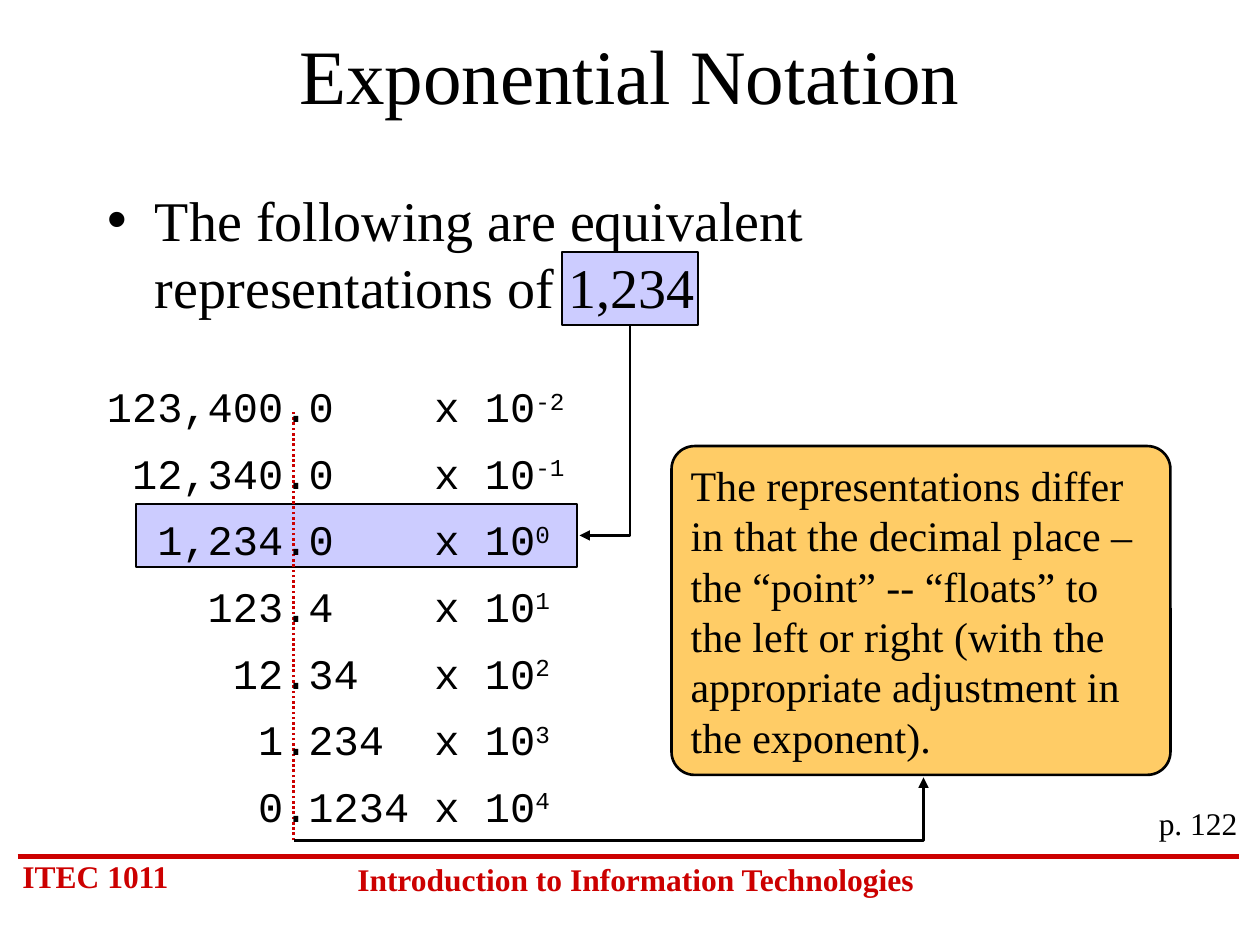
from pptx import Presentation
from pptx import util as u
from pptx.dml.color import RGBColor
from pptx.enum import dml, shapes, text
from pptx.oxml.ns import qn
from lxml import etree

BLACK, RED, LILAC, AMBER = "000000", "CC0000", "CCCCFF", "FFCC66"
SERIF, MONO = "Times New Roman", "Courier New"


def rgb(value):
    return RGBColor.from_string(value)


def add_tabs(paragraph, stops):
    """Add (inches, alignment) tab stops to a paragraph."""
    tabs = etree.SubElement(paragraph._p.get_or_add_pPr(), qn("a:tabLst"))
    for position, align in stops:
        etree.SubElement(tabs, qn("a:tab"), pos=str(u.Inches(position)), algn=align)


class SlideWriter:
    """Holds the deck's style and the current slide."""

    def __init__(self, slide):
        self.slide = slide
        self.shapes = slide.shapes

    def style(self, paragraph, size, color=BLACK, face=SERIF, bold=False,
              align=text.PP_ALIGN.LEFT):
        paragraph.alignment = align
        font = paragraph.font
        font.size, font.name, font.bold = u.Pt(size), face, bold
        font.color.rgb = rgb(color)

    def outline(self, line, color=BLACK, width=1.5):
        line.color.rgb = rgb(color)
        line.width = u.Pt(width)

    def placeholder(self, index, box, words, size, anchor, align):
        holder = self.slide.placeholders[index]
        holder.left, holder.top, holder.width, holder.height = map(u.Inches, box)
        frame = holder.text_frame
        frame.auto_size = text.MSO_AUTO_SIZE.NONE
        frame.vertical_anchor = anchor
        frame.text = words
        paragraph = frame.paragraphs[0]
        paragraph.space_before = u.Pt(0)
        self.style(paragraph, size, align=align)
        return paragraph

    def bullet(self, paragraph, indent):
        props = paragraph._p.get_or_add_pPr()
        props.set("marL", str(u.Inches(indent)))
        props.set("indent", str(-u.Inches(indent)))
        etree.SubElement(props, qn("a:buChar"), char="•")

    def textbox(self, box, words=""):
        frame = self.shapes.add_textbox(*map(u.Inches, box)).text_frame
        frame.word_wrap = True
        frame.text = words
        return frame

    def label(self, box, words, **style):
        self.style(self.textbox(box, words).paragraphs[0], 18, **style)

    def box(self, kind, box, fill):
        shape = self.shapes.add_shape(kind, *map(u.Inches, box))
        shape.shadow.inherit = False
        shape.fill.solid()
        shape.fill.fore_color.rgb = rgb(fill)
        self.outline(shape.line)
        return shape

    def highlight(self, box):
        """A filled rectangle behind the text."""
        shape = self.box(shapes.MSO_SHAPE.RECTANGLE, box, LILAC)
        self.shapes._spTree.insert(2, shape._element)

    def line(self, start, end, color, width):
        line = self.shapes.add_connector(
            shapes.MSO_CONNECTOR.STRAIGHT, *map(u.Inches, start + end))
        self.outline(line.line, color, width)
        etree.SubElement(line._element.spPr, qn("a:effectLst"))
        return line

    def bent_arrow(self, start, *points):
        builder = self.shapes.build_freeform(*map(u.Inches, start), scale=1.0)
        builder.add_line_segments(
            [tuple(map(u.Inches, point)) for point in points], close=False)
        arrow = builder.convert_to_shape()
        arrow.shadow.inherit = False
        arrow.fill.background()
        self.outline(arrow.line)
        etree.SubElement(arrow.line._get_or_add_ln(), qn("a:tailEnd"), type="triangle")


def main():
    deck = Presentation()
    deck.slide_width, deck.slide_height = u.Inches(10), u.Inches(7.5)
    page = SlideWriter(deck.slides.add_slide(deck.slide_layouts[1]))

    # Title and opening bullet
    page.placeholder(0, (0.75, 0.17, 8.5, 0.83), "Exponential Notation", 44,
                     text.MSO_ANCHOR.MIDDLE, text.PP_ALIGN.CENTER)
    opening = page.placeholder(
        1, (0.75, 1.42, 8.5, 4.5),
        "The following are equivalent representations of 1,234", 32,
        text.MSO_ANCHOR.TOP, text.PP_ALIGN.LEFT)
    page.bullet(opening, 0.38)

    # Highlights behind the number and its plain form
    page.highlight((4.46, 2, 1.08, 0.58))
    page.highlight((1.08, 4, 3.5, 0.5))

    # Footer
    page.line((0.14, 6.8), (9.83, 6.8), RED, 3)
    page.label((0.08, 6.75, 1.5, 0.4), "ITEC 1011", color=RED, bold=True)
    page.label((2.67, 6.78, 4.75, 0.4), "Introduction to Information Technologies",
               color=RED, bold=True, align=text.PP_ALIGN.CENTER)
    page.label((8.75, 6.33, 1.17, 0.4), "p. 122", align=text.PP_ALIGN.RIGHT)

    # Decimal point guide
    guide = page.line((2.33, 6.67), (2.33, 3.25), RED, 1.5)
    guide.line.dash_style = dml.MSO_LINE.ROUND_DOT

    # Explanation
    note = page.box(shapes.MSO_SHAPE.ROUNDED_RECTANGLE, (5.33, 3.54, 3.96, 2.61), AMBER)
    note.adjustments[0] = 0.07
    note.text_frame.word_wrap = True
    note.text_frame.text = (
        "The representations differ in that the decimal place – the “point” -- "
        "“floats” to the left or right (with the appropriate adjustment in the "
        "exponent).")
    page.style(note.text_frame.paragraphs[0], 24)

    # Arrows
    page.bent_arrow((5, 2.58), (5, 4.25), (4.6, 4.25))
    page.bent_arrow((2.33, 6.67), (7.33, 6.67), (7.33, 6.17))

    # Representations, lined up on the decimal point
    mantissas = ("123,400.0", "12,340.0", "1,234.0", "123.4", "12.34", "1.234", "0.1234")
    listing = page.textbox((0.75, 3.05, 4, 3.59))
    for exponent, mantissa in enumerate(mantissas, start=-2):
        first = exponent == -2
        row = listing.paragraphs[0] if first else listing.add_paragraph()
        row.line_spacing = 0.8
        row.space_before = u.Pt(0 if first else 15)
        add_tabs(row, [(1.4, "dec"), (2.6, "l")])
        row.add_run().text = f"\t{mantissa}\tx 10"
        power = row.add_run()
        power.text = str(exponent)
        power.font._element.set("baseline", "30000")
        page.style(row, 24, face=MONO)

    deck.save("out.pptx")


if __name__ == "__main__":
    main()
